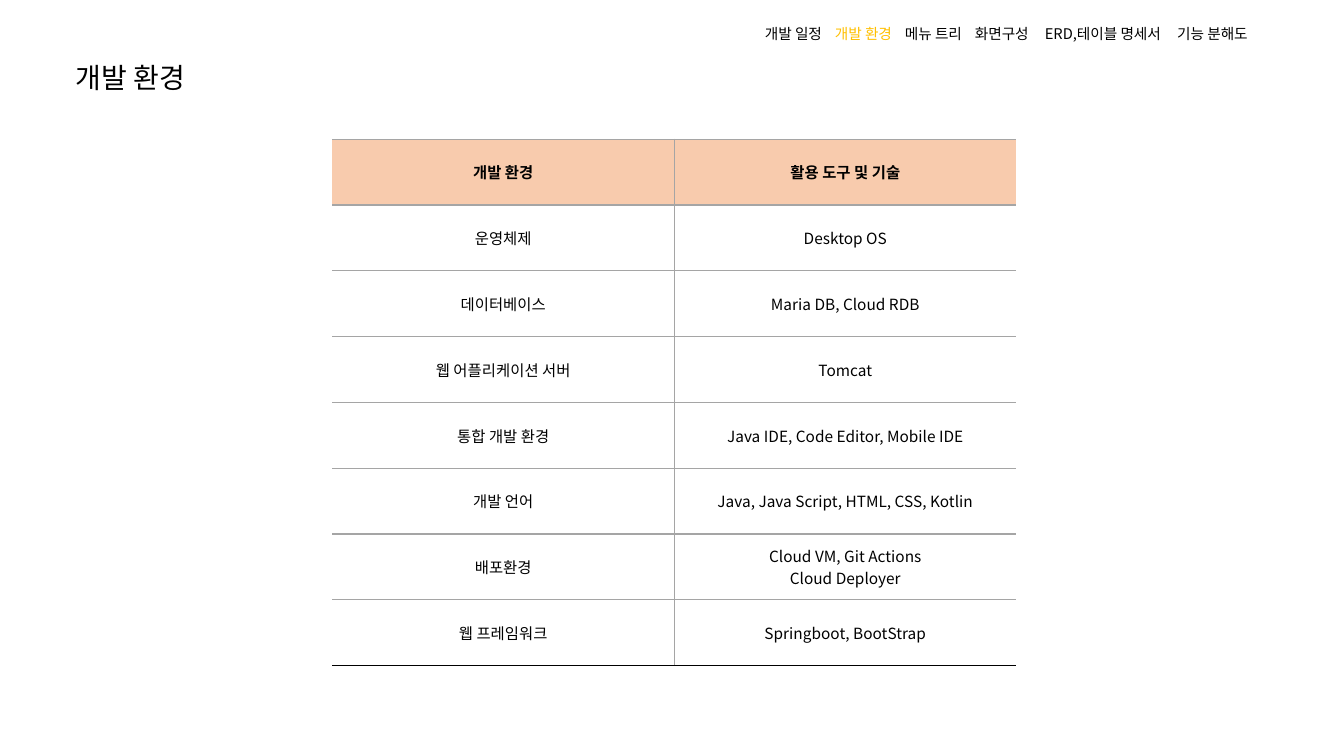
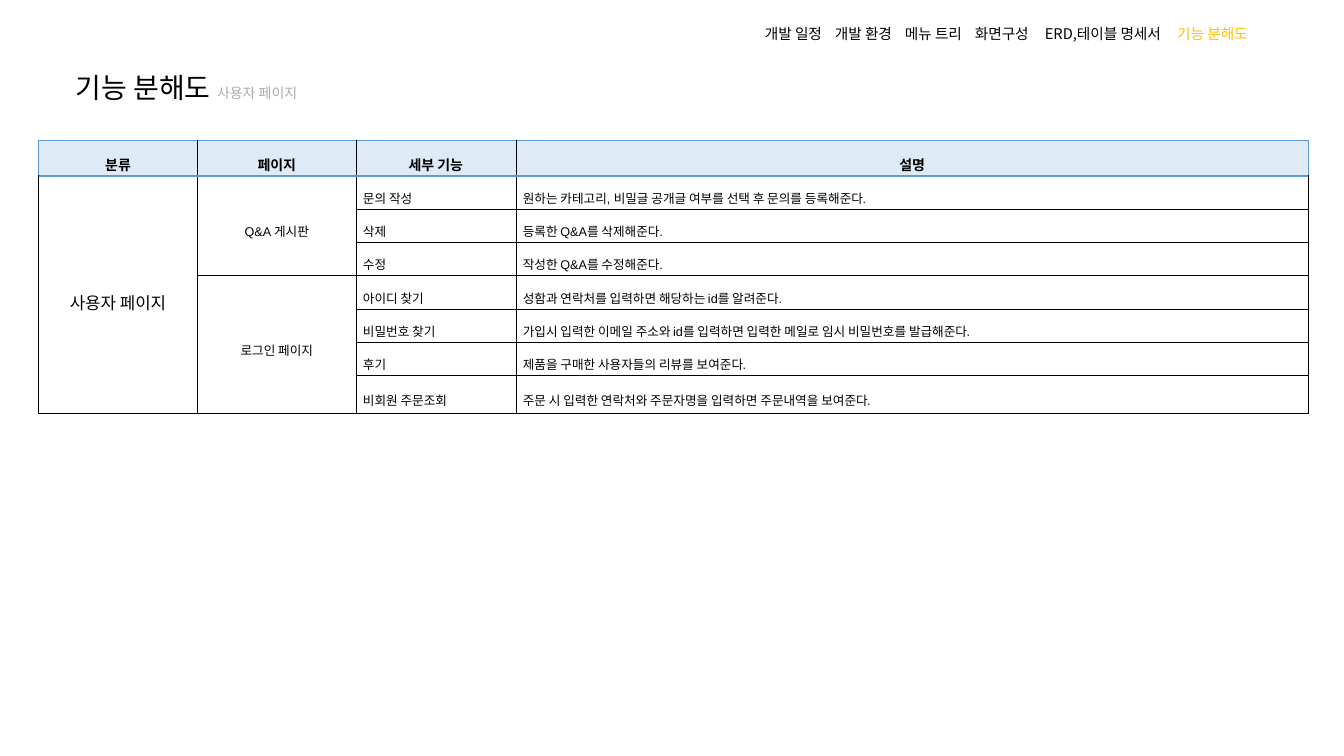
from dataclasses import dataclass
from typing import Optional

from pptx import Presentation
from pptx.dml.color import RGBColor
from pptx.enum.text import MSO_ANCHOR as Anchor, MSO_AUTO_SIZE as AutoSize, PP_ALIGN as Align
from pptx.oxml import parse_xml
from pptx.oxml.ns import nsdecls, qn
from pptx.util import Pt
from lxml.etree import SubElement

COLORS = {
    "text": "000000",
    "active": "FFC000",
    "muted": "AFABAB",
    "grid": "A5A5A5",
    "peach": "F8CBAD",
    "white": "FFFFFF",
    "ice": "DEEBF7",
    "blue": "5B9BD5",
}
KOREAN = "Noto Sans CJK KR"
NO_STYLE = "{2D5ABB26-0587-4C30-8999-92F81FD0307C}"
SECTIONS = ["개발 일정", "개발 환경", "메뉴 트리", "화면구성", "ERD,테이블 명세서", "기능 분해도"]
SECTION_TABS = [50, 100, 150, 200, 294.5]


@dataclass(frozen=True)
class TextStyle:
    size: float
    color: str = "text"
    bold: bool = False
    latin: str = KOREAN


@dataclass(frozen=True)
class Border:
    color: str
    width: float


@dataclass(frozen=True)
class CellStyle:
    text: TextStyle
    align: Align = Align.CENTER
    fill: Optional[str] = None
    line_spacing: float = 1.0
    margins: tuple = (7.2, 3.6)


@dataclass(frozen=True)
class Title:
    text: str
    width: float
    anchor: Anchor
    subtitle: str = ""


NAV_STYLE = TextStyle(10.5)
NAV_ACTIVE = TextStyle(10.5, "active")
TITLE_STYLE = TextStyle(20)
SUBTITLE_STYLE = TextStyle(10, "muted")

TOOL_HEADER = CellStyle(TextStyle(11, bold=True), fill="peach")
TOOL_BODY = CellStyle(TextStyle(11), fill="white")
TOOL_ROWS = [
    ["개발 환경", "활용 도구 및 기술"],
    ["운영체제", "Desktop OS"],
    ["데이터베이스", "Maria DB, Cloud RDB"],
    ["웹 어플리케이션 서버", "Tomcat"],
    ["통합 개발 환경", "Java IDE, Code Editor, Mobile IDE"],
    ["개발 언어", "Java, Java Script, HTML, CSS, Kotlin"],
    ["배포환경", "Cloud VM, Git Actions\nCloud Deployer"],
    ["웹 프레임워크", "Springboot, BootStrap"],
]

DENSE = {"line_spacing": 1.6, "margins": (5.1, 1.4)}
FEATURE_HEADER = CellStyle(TextStyle(10, bold=True, latin="Arial"), fill="ice", **DENSE)
FEATURE_CATEGORY = CellStyle(TextStyle(12, latin="Arial"), **DENSE)
FEATURE_PAGE = CellStyle(TextStyle(9, latin="Arial"), **DENSE)
FEATURE_DETAIL = CellStyle(TextStyle(9, latin="Arial"), Align.JUSTIFY, **DENSE)
FEATURE_COLUMNS = [FEATURE_CATEGORY, FEATURE_PAGE, FEATURE_DETAIL, FEATURE_DETAIL]
FEATURE_ROWS = [
    ["분류", "페이지", "세부 기능", "설명"],
    ["사용자 페이지", "Q&A 게시판", "문의 작성", "원하는 카테고리, 비밀글 공개글 여부를 선택 후 문의를 등록해준다."],
    ["", "", "삭제", "등록한 Q&A를 삭제해준다."],
    ["", "", "수정", "작성한 Q&A를 수정해준다."],
    ["", "로그인 페이지", "아이디 찾기", "성함과 연락처를 입력하면 해당하는 id를 알려준다."],
    ["", "", "비밀번호 찾기", "가입시 입력한 이메일 주소와 id를 입력하면 입력한 메일로 임시 비밀번호를 발급해준다."],
    ["", "", "후기", "제품을 구매한 사용자들의 리뷰를 보여준다."],
    ["", "", "비회원 주문조회", "주문 시 입력한 연락처와 주문자명을 입력하면 주문내역을 보여준다."],
]
FEATURE_MERGES = [((1, 0), (7, 0)), ((1, 1), (3, 1)), ((4, 1), (7, 1))]


def add_run(paragraph, text: str, style: TextStyle) -> None:
    run = paragraph.add_run()
    run.text = text
    values = {"size": Pt(style.size), "bold": style.bold, "name": style.latin}
    for name, value in values.items():
        setattr(run.font, name, value)
    run.font.color.rgb = RGBColor.from_string(COLORS[style.color])
    SubElement(run.font._element, qn("a:ea"), typeface=KOREAN)


def add_text_frame(slide, left: float, top: float, width: float, height: float, **values):
    box = slide.shapes.add_textbox(Pt(left), Pt(top), Pt(width), Pt(height))
    for name, value in {"word_wrap": True, **values}.items():
        setattr(box.text_frame, name, value)
    return box.text_frame


def add_navigation(slide, active: str) -> None:
    frame = add_text_frame(slide, 539.3, 14.4, 394.6, 20, auto_size=AutoSize.SHAPE_TO_FIT_TEXT)
    paragraph = frame.paragraphs[0]
    tabs = SubElement(paragraph._p.get_or_add_pPr(), qn("a:tabLst"))
    for position in SECTION_TABS:
        SubElement(tabs, qn("a:tab"), pos=str(int(Pt(position))), algn="l")
    for index, section in enumerate(SECTIONS):
        text = f"\t{section}" if index else section
        add_run(paragraph, text, NAV_ACTIVE if section == active else NAV_STYLE)


def add_title(slide, title: Title) -> None:
    frame = add_text_frame(slide, 46.8, 34.6, title.width, 43.9, vertical_anchor=title.anchor)
    paragraph = frame.paragraphs[0]
    paragraph.line_spacing = 0.9
    add_run(paragraph, f"{title.text} " if title.subtitle else title.text, TITLE_STYLE)
    if title.subtitle:
        add_run(paragraph, title.subtitle, SUBTITLE_STYLE)


def add_page(presentation, title: Title):
    slide = presentation.slides.add_slide(presentation.slide_layouts[6])
    add_title(slide, title)
    add_navigation(slide, title.text)
    return slide


def add_grid(slide, left: float, top: float, widths: list, heights: list):
    frame = slide.shapes.add_table(
        len(heights), len(widths), Pt(left), Pt(top), Pt(sum(widths)), Pt(sum(heights))
    )
    table = frame.table
    table.first_row = table.horz_banding = False
    table._tbl.tblPr.find(qn("a:tableStyleId")).text = NO_STYLE
    for column, width in zip(table.columns, widths):
        column.width = Pt(width)
    for row, height in zip(table.rows, heights):
        row.height = Pt(height)
    return table


def set_borders(cell, borders: dict) -> None:
    properties = cell._tc.get_or_add_tcPr()
    for side in "LRTB":
        border = borders.get(side)
        if border:
            paint = f'<a:solidFill><a:srgbClr val="{COLORS[border.color]}"/></a:solidFill>'
            width = int(Pt(border.width))
        else:
            paint, width = "<a:noFill/>", 0
        properties.append(parse_xml(f'<a:ln{side} {nsdecls("a")} w="{width}">{paint}</a:ln{side}>'))


def fill_cell(cell, text: str, style: CellStyle, borders: dict) -> None:
    set_borders(cell, borders)
    if style.fill:
        cell.fill.solid()
        cell.fill.fore_color.rgb = RGBColor.from_string(COLORS[style.fill])
    else:
        cell.fill.background()
    side, edge = (Pt(margin) for margin in style.margins)
    values = {
        "margin_left": side,
        "margin_right": side,
        "margin_top": edge,
        "margin_bottom": edge,
        "vertical_anchor": Anchor.MIDDLE,
    }
    for name, value in values.items():
        setattr(cell, name, value)
    if not text:
        return
    frame = cell.text_frame
    for index, line in enumerate(text.split("\n")):
        paragraph = frame.add_paragraph() if index else frame.paragraphs[0]
        paragraph.alignment = style.align
        paragraph.line_spacing = style.line_spacing
        add_run(paragraph, line, style.text)


def add_tool_table(slide) -> None:
    table = add_grid(slide, 237.3, 99.4, [244.4] * 2, [47] * len(TOOL_ROWS))
    rule, last_rule = Border("grid", 1), Border("text", 1)
    last_row = len(TOOL_ROWS) - 1
    for row, texts in enumerate(TOOL_ROWS):
        for column, text in enumerate(texts):
            borders = {
                "T": rule,
                "B": last_rule if row == last_row else rule,
                "L" if column else "R": rule,
            }
            fill_cell(table.cell(row, column), text, TOOL_BODY if row else TOOL_HEADER, borders)


def add_feature_table(slide) -> None:
    heights = [25.7] + [23.7] * 6 + [27.2]
    table = add_grid(slide, 27.4, 100.1, [113.8, 113, 114.2, 566.4], heights)
    for first, last in FEATURE_MERGES:
        table.cell(*first).merge(table.cell(*last))
    hairline, accent = Border("text", 0.28), Border("blue", 1)
    last_column = len(FEATURE_COLUMNS) - 1
    for row, texts in enumerate(FEATURE_ROWS):
        for column, text in enumerate(texts):
            borders = dict.fromkeys("LRTB", hairline)
            if row <= 1:
                borders["T"] = accent
            if row == 0:
                borders["B"] = accent
                if column == 0:
                    borders["L"] = accent
                if column == last_column:
                    borders["R"] = accent
            style = FEATURE_COLUMNS[column] if row else FEATURE_HEADER
            fill_cell(table.cell(row, column), text, style, borders)


def main() -> None:
    presentation = Presentation()
    presentation.slide_width, presentation.slide_height = Pt(960), Pt(540)
    add_tool_table(add_page(presentation, Title("개발 환경", 101.5, Anchor.MIDDLE)))
    add_feature_table(
        add_page(presentation, Title("기능 분해도", 243.4, Anchor.BOTTOM, "사용자 페이지"))
    )
    presentation.save("out.pptx")


if __name__ == "__main__":
    main()
